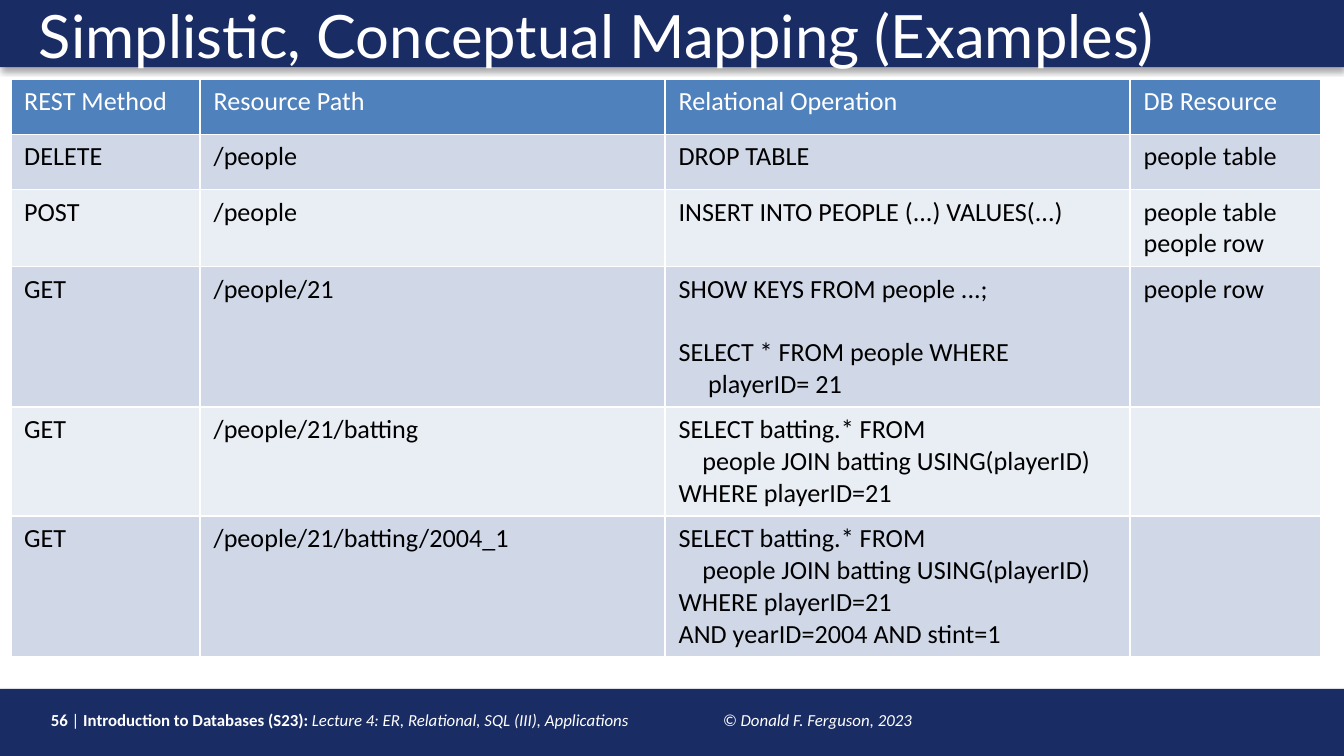
from lxml import etree
from pptx import Presentation
from pptx import util as u
from pptx.dml.color import RGBColor
from pptx.enum import shapes, text
from pptx.oxml import parse_xml
from pptx.oxml.ns import nsdecls, qn

HEADING = "Simplistic, Conceptual Mapping (Examples)"
FOOTER = [
    ("56 ", {"bold": True}),
    ("|", {}),
    (" Introduction to Databases (S23): ", {"bold": True}),
    ("Lecture 4: ER, Relational, SQL (III), Applications \t© Donald F. Ferguson, 2023", {"italic": True}),
]
BATTING_QUERY = "SELECT batting.* FROM\n    people JOIN batting USING(playerID)\nWHERE playerID=21"
MAPPING = [
    ("REST Method", "Resource Path", "Relational Operation", "DB Resource"),
    ("DELETE", "/people", "DROP TABLE", "people table"),
    ("POST", "/people", "INSERT INTO PEOPLE (...) VALUES(...)", "people table\npeople row"),
    ("GET", "/people/21",
     "SHOW KEYS FROM people ...;\n\nSELECT * FROM people WHERE\n     playerID= 21", "people row"),
    ("GET", "/people/21/batting", BATTING_QUERY, ""),
    ("GET", "/people/21/batting/2004_1", BATTING_QUERY + "\nAND yearID=2004 AND stint=1", ""),
]
SLIDE_WIDTH = 10
SLIDE_HEIGHT = SLIDE_WIDTH * 9 / 16
BAR_HEIGHT = 0.5
COLUMN_WIDTHS = (1.41, 3.46, 3.46, 1.42)
MIN_ROW, LINE, CELL_PADDING = 0.41, 0.23, 0.1

THEME = {
    "navy": "1A2C64", "header": "4F81BD", "bands": ("D0D8E8", "E9EDF4"),
    "light": "FFFFFF", "dark": "000000",
    "heading_font": "Lato", "body_font": "Calibri",
    "heading_size": 32, "body_size": 14, "footer_size": 9, "statement_gap": 17,
}


def write(paragraph, content, size, color, font=THEME["body_font"], bold=False, italic=False):
    pieces = [(content, {})] if isinstance(content, str) else content
    for words, emphasis in pieces:
        for n, line in enumerate(words.split("\n")):
            if n:
                paragraph.add_line_break()
                etree.SubElement(paragraph._p[-1], qn("a:rPr"), sz=str(size * 100))
            run = paragraph.add_run()
            run.text = line
            run.font.name = font
            run.font.size = u.Pt(size)
            run.font.color.rgb = RGBColor.from_string(color)
            run.font.bold = emphasis.get("bold", bold)
            run.font.italic = emphasis.get("italic", italic)


def add_bar(slide, top):
    bar = slide.shapes.add_shape(
        shapes.MSO_SHAPE.RECTANGLE, 0, u.Inches(top), u.Inches(SLIDE_WIDTH), u.Inches(BAR_HEIGHT))
    bar.fill.solid()
    bar.fill.fore_color.rgb = RGBColor.from_string(THEME["navy"])
    bar.line.fill.background()
    bar.element.spPr.append(parse_xml(
        f'<a:effectLst {nsdecls("a")}><a:outerShdw blurRad="39370" dist="22860" dir="5400000" '
        'rotWithShape="0"><a:srgbClr val="000000"><a:alpha val="35000"/></a:srgbClr>'
        '</a:outerShdw></a:effectLst>'))


def add_footer(slide):
    footer = slide.shapes.add_textbox(u.Inches(0.28), u.Inches(5.23), u.Inches(7.42), u.Inches(0.25))
    footer.text_frame.word_wrap = True
    line = footer.text_frame.paragraphs[0]
    tabs = etree.SubElement(line._p.get_or_add_pPr(), qn("a:tabLst"))
    etree.SubElement(tabs, qn("a:tab"), pos=str(u.Inches(5)), algn="l")
    write(line, FOOTER, size=THEME["footer_size"], color=THEME["light"])


def place_heading(slide):
    heading = slide.shapes.title
    heading.element.getparent().append(heading.element)
    heading.left, heading.top = u.Inches(0.19), u.Inches(0)
    heading.width, heading.height = u.Inches(9.48), u.Inches(0.48)
    heading.text_frame.vertical_anchor = text.MSO_ANCHOR.TOP
    line = heading.text_frame.paragraphs[0]
    line.alignment = text.PP_ALIGN.LEFT
    line.line_spacing = 0.9
    write(line, HEADING, size=THEME["heading_size"], color=THEME["light"], font=THEME["heading_font"])


def fill_cell(cell, content, background, color):
    cell.fill.solid()
    cell.fill.fore_color.rgb = RGBColor.from_string(background)
    if not content:
        return
    for s, statement in enumerate(content.split("\n\n")):
        paragraph = cell.text_frame.add_paragraph() if s else cell.text_frame.paragraphs[0]
        if s:
            paragraph.space_before = u.Pt(THEME["statement_gap"])
        write(paragraph, statement, size=THEME["body_size"], color=color)


def add_mapping(slide):
    heights = [max(MIN_ROW, CELL_PADDING + LINE * max(c.count("\n") + 1 for c in row)) for row in MAPPING]
    table = slide.shapes.add_table(
        len(MAPPING), len(COLUMN_WIDTHS), u.Inches(0.08), u.Inches(0.59),
        u.Inches(sum(COLUMN_WIDTHS)), u.Inches(sum(heights))).table
    for column, width in zip(table.columns, COLUMN_WIDTHS):
        column.width = u.Inches(width)
    for r, (row, height) in enumerate(zip(MAPPING, heights)):
        table.rows[r].height = u.Inches(height)
        background = THEME["bands"][(r - 1) % 2] if r else THEME["header"]
        for c, content in enumerate(row):
            fill_cell(table.cell(r, c), content, background, THEME["dark" if r else "light"])


def main():
    deck = Presentation()
    deck.slide_width, deck.slide_height = u.Inches(SLIDE_WIDTH), u.Inches(SLIDE_HEIGHT)
    slide = deck.slides.add_slide(deck.slide_layouts[5])
    add_bar(slide, SLIDE_HEIGHT - BAR_HEIGHT)
    add_footer(slide)
    add_bar(slide, 0)
    place_heading(slide)
    add_mapping(slide)
    deck.save("out.pptx")


if __name__ == "__main__":
    main()
